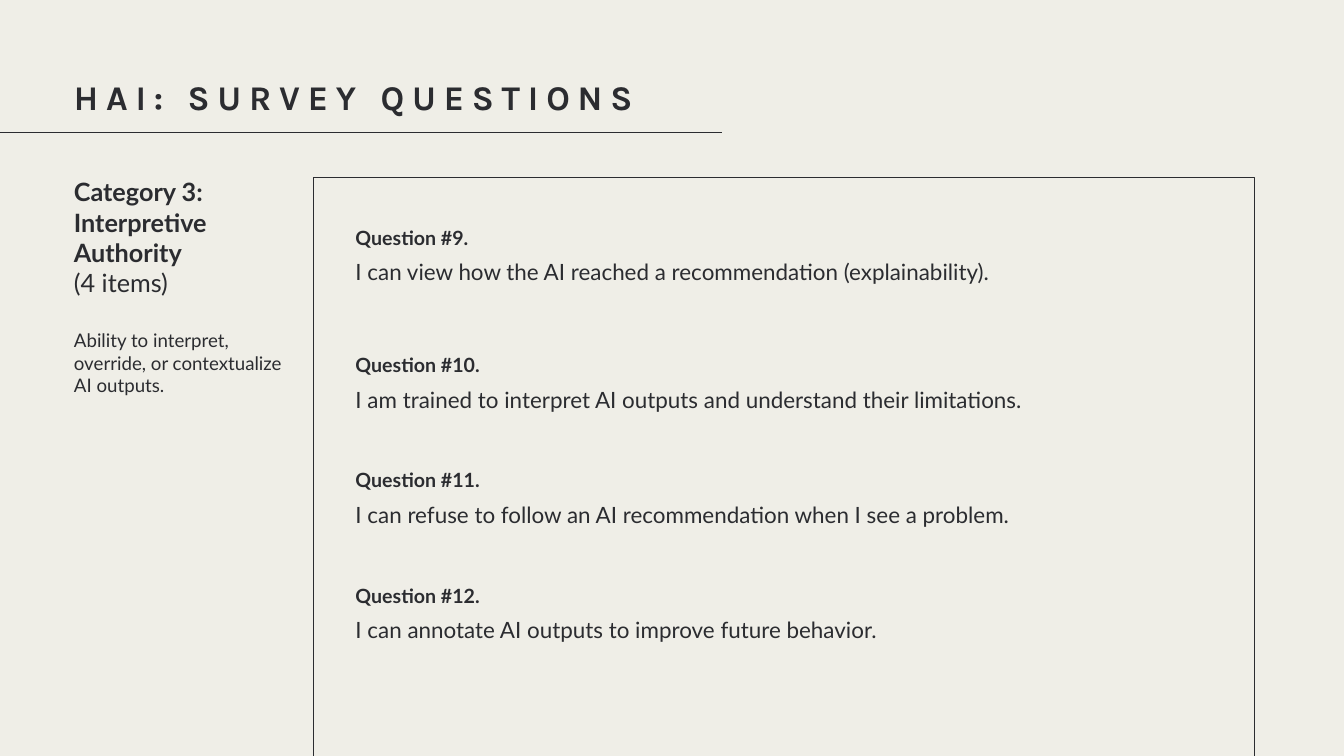
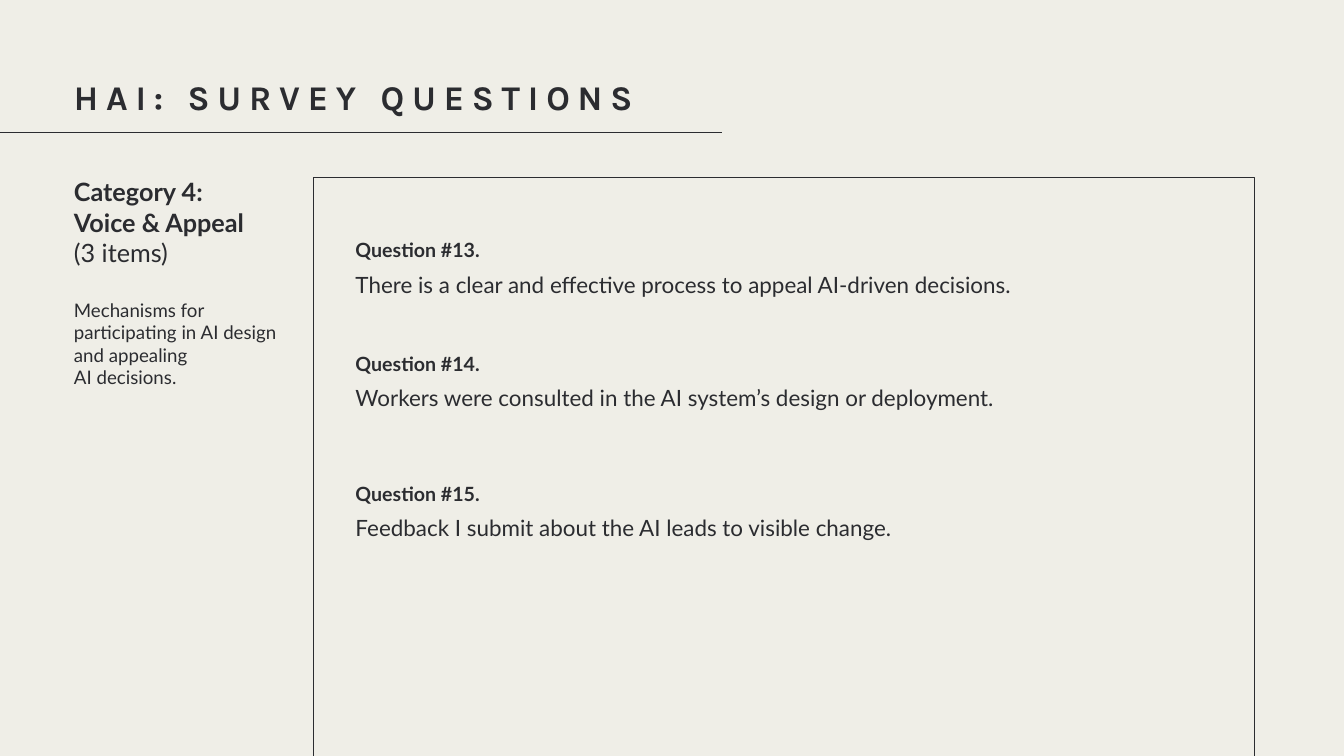
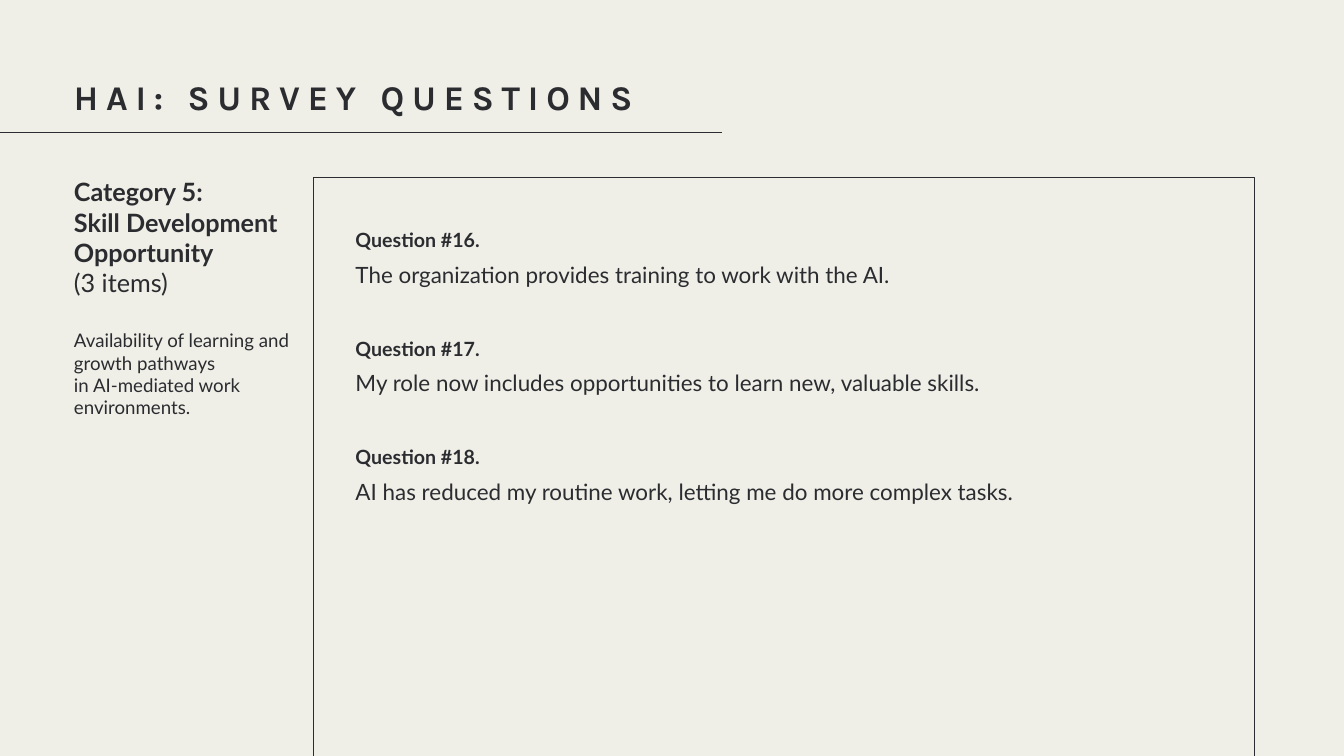
from lxml import etree
from pptx import Presentation
from pptx.dml.color import RGBColor
from pptx.enum import shapes, text
from pptx.oxml import ns
from pptx.util import Pt

INK = RGBColor(0x2B, 0x2C, 0x30)
PAPER = RGBColor(0xEF, 0xEE, 0xE7)
TITLE_FONT = "Karla"
BODY_FONT = "Lato"

# Each category: heading, item count, description paragraphs, height of its box,
# first question number, and the questions with their top edges.
CATEGORIES = [
    (["Category 3:", "Interpretive Authority"], "(4 items)",
     ["Ability to interpret, override, or contextualize AI outputs."], 258.5, 9,
     [(233.3, "I can view how the AI reached a recommendation (explainability)."),
      (370, "I am trained to interpret AI outputs and understand their limitations."),
      (493.3, "I can refuse to follow an AI recommendation when I see a problem."),
      (617, "I can annotate AI outputs to improve future behavior.")]),
    (["Category 4:", "Voice & Appeal"], "(3 items)",
     ["Mechanisms for participating in AI design and appealing", "AI decisions."], 226.8, 13,
     [(247, "There is a clear and effective process to appeal AI-driven decisions."),
      (368.6, "Workers were consulted in the AI system’s design or deployment."),
      (507.6, "Feedback I submit about the AI leads to visible change.")]),
    (["Category 5:", "Skill Development Opportunity"], "(3 items)",
     ["Availability of learning and growth pathways",
      "in AI-mediated work environments."], 290.9, 16,
     [(236.2, "The organization provides training to work with the AI."),
      (352.5, "My role now includes opportunities to learn new, valuable skills."),
      (468.8, "AI has reduced my routine work, letting me do more complex tasks.")]),
]


def add_paragraph(frame, words, size, leading, font=BODY_FONT, bold=False, before=0, tracking=0):
    """Fill the frame's empty first paragraph, or append one; sizes in points."""
    para = frame.paragraphs[0]
    if para.runs:
        para = frame.add_paragraph()
    para.line_spacing = Pt(leading)
    if before:
        para.space_before = Pt(before)
    span = para.add_run()
    span.text = words
    span.font.name = font
    span.font.size = Pt(size)
    span.font.bold = bold
    span.font.color.rgb = INK
    if tracking:
        span.font._element.set("spc", str(round(tracking * 100)))


class SurveyDeck:
    """Holds the shared style and the slide being built."""

    def __init__(self):
        self.deck = Presentation()
        self.deck.slide_width, self.deck.slide_height = Pt(1440), Pt(810)
        self.page = None

    def add_page(self):
        self.page = self.deck.slides.add_slide(self.deck.slide_layouts[6])
        fill = self.page.background.fill
        fill.solid()
        fill.fore_color.rgb = PAPER

    def add_text_frame(self, left, top, width, height):
        box = self.page.shapes.add_textbox(Pt(left), Pt(top), Pt(width), Pt(height))
        frame = box.text_frame
        frame.word_wrap = True
        frame.auto_size = text.MSO_AUTO_SIZE.SHAPE_TO_FIT_TEXT
        frame.margin_left = frame.margin_top = frame.margin_right = frame.margin_bottom = 0
        return frame

    def add_title(self, words):
        frame = self.add_text_frame(79.2, 74.2, 1278, 51.1)
        add_paragraph(frame, words, 37.1, 52, font=TITLE_FONT, bold=True, tracking=8.4)

    def add_title_rule(self):
        rule = self.page.shapes.add_connector(
            shapes.MSO_CONNECTOR.STRAIGHT, Pt(-558), Pt(141.8), Pt(774), Pt(141.8))
        rule.line.color.rgb = INK
        rule.line.width = Pt(0.75)
        etree.SubElement(rule._element.spPr, ns.qn("a:effectLst"))

    def add_question_panel(self):
        panel = self.page.shapes.add_shape(
            shapes.MSO_SHAPE.RECTANGLE, Pt(336.2), Pt(190.1), Pt(1007.3), Pt(646.6))
        panel.shadow.inherit = False
        panel.fill.background()
        panel.line.color.rgb = INK
        panel.line.width = Pt(0.75)

    def add_category(self, heading, count, description, height):
        frame = self.add_text_frame(79.2, 189.4, 236.2, height)
        for words in heading:
            add_paragraph(frame, words, 27, 32.4, bold=True)
        add_paragraph(frame, count, 27, 32.4)
        for index, words in enumerate(description):
            add_paragraph(frame, words, 20, 24, before=0 if index else 33.6)

    def add_question(self, number, words, top):
        frame = self.add_text_frame(380.9, top, 918, 106.6)
        add_paragraph(frame, f"Question #{number}.", 21, 33.6, bold=True)
        add_paragraph(frame, words, 24, 38.4)


def main():
    survey = SurveyDeck()
    for heading, count, description, height, first_number, questions in CATEGORIES:
        survey.add_page()
        survey.add_title("HAI: SURVEY QUESTIONS")
        survey.add_title_rule()
        survey.add_question_panel()
        survey.add_category(heading, count, description, height)
        for number, (top, words) in enumerate(questions, first_number):
            survey.add_question(number, words, top)
    survey.deck.save("out.pptx")


if __name__ == "__main__":
    main()
